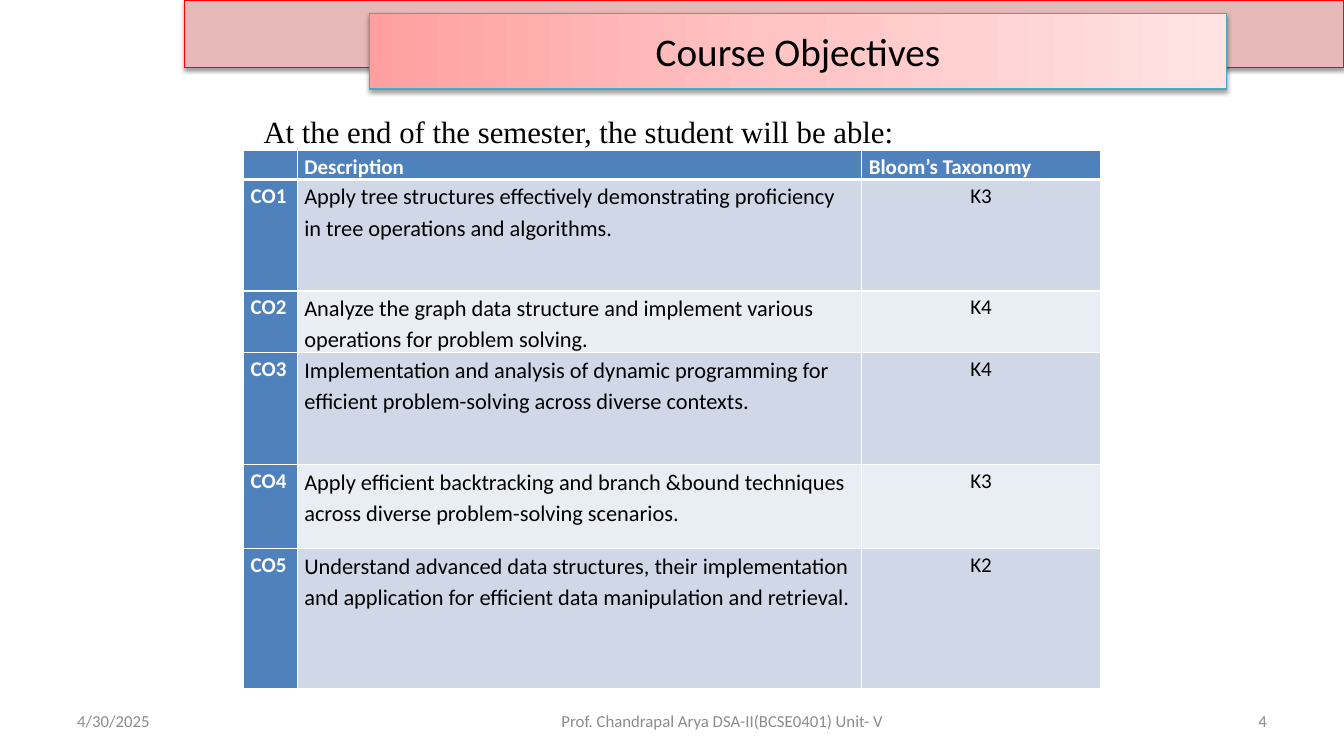
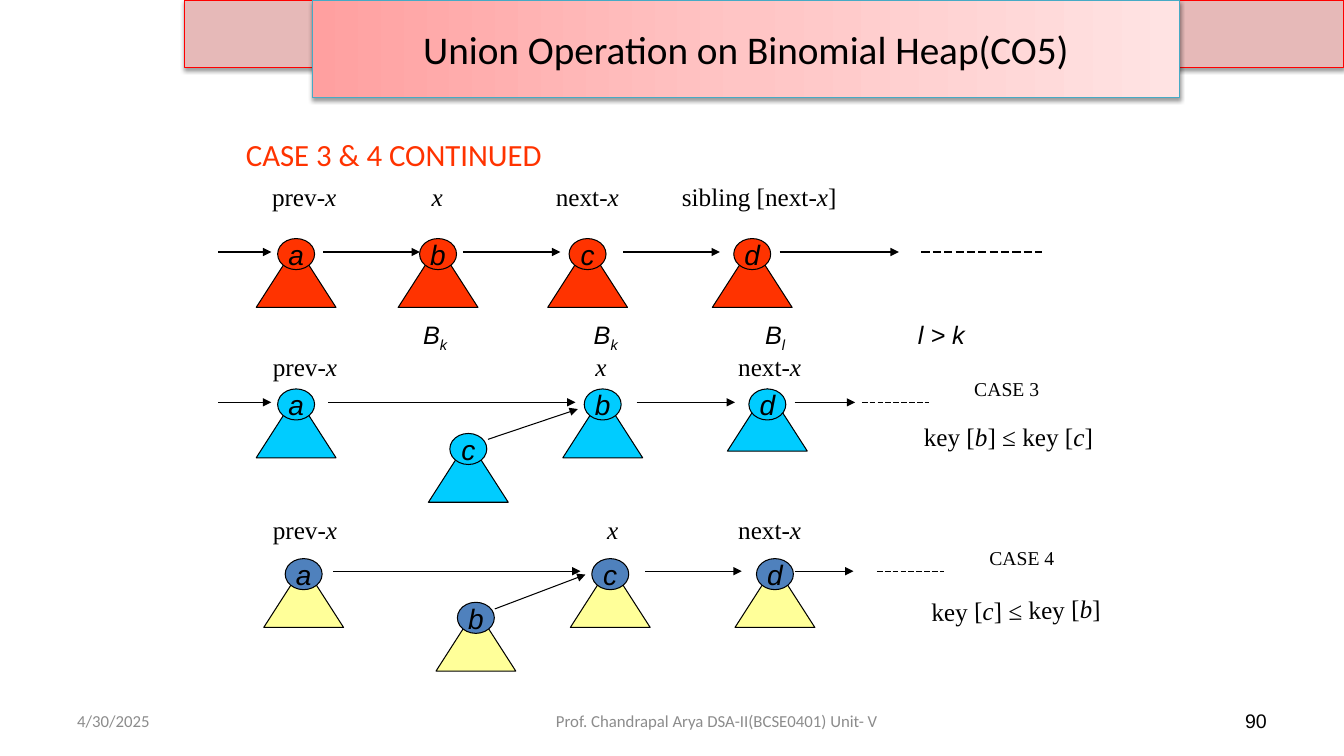
import copy
import dataclasses

import lxml.etree
import pptx
import pptx.dml.color
import pptx.enum.dml
import pptx.enum.shapes
import pptx.enum.text
import pptx.oxml.ns
import pptx.util


@dataclasses.dataclass(frozen=True)
class Theme:
    sans: str = "Calibri"
    serif: str = "Times New Roman"
    node_font: str = "Arial"
    title_size: int = 28
    lead_size: int = 22
    node_size: int = 20
    label_size: int = 18
    cell_size: int = 16
    head_size: int = 15
    case_size: int = 14
    footer_size: int = 12
    black: str = "000000"
    white: str = "FFFFFF"
    grey: str = "8C8C8C"
    band: str = "E6B9B8"
    band_edge: str = "FF0000"
    title_edge: str = "46AAC5"
    title_stops: tuple = ("FFA0A0", "FFC5C5", "FFE3E3")
    blue: str = "4F81BD"
    odd_row: str = "D0D8E8"
    even_row: str = "E9EDF4"
    red: str = "FF3300"
    cyan: str = "00CCFF"
    yellow: str = "FFFF99"


theme = Theme()
qn = pptx.oxml.ns.qn
rgb = pptx.dml.color.RGBColor.from_string
Preset = pptx.enum.shapes.MSO_SHAPE
Align = pptx.enum.text.PP_ALIGN
MIDDLE = pptx.enum.text.MSO_ANCHOR.MIDDLE

# The slide is a grid of 160 columns by 90 rows of square cells
deck = pptx.Presentation()
deck.slide_width, deck.slide_height = pptx.util.Inches(13.333), pptx.util.Inches(7.5)
CELL = deck.slide_height / 90


def place(slide, preset, area, fill=None, edge=None):
    """Add a text box (no preset) or an outlined shape; area is in grid cells."""
    area = [round(value * CELL) for value in area]
    if preset is None:
        box = slide.shapes.add_textbox(*area)
        box.text_frame.word_wrap = True
        return box
    shape = slide.shapes.add_shape(preset, *area)
    shape.shadow.inherit = False
    if fill:
        shape.fill.solid()
        shape.fill.fore_color.rgb = rgb(fill)
    shape.line.color.rgb = rgb(edge)
    shape.line.width = pptx.util.Pt(0.75)
    return shape


def write(frame, runs, font, size, color=theme.black, align=Align.LEFT,
          bold=False, spacing=None, tabs=()):
    """Fill the first paragraph with (text, style) runs: i italic, s subscript."""
    paragraph = frame.paragraphs[0]
    paragraph.alignment = align
    if spacing:
        paragraph.line_spacing = spacing
    if tabs:
        stops = lxml.etree.SubElement(paragraph._p.get_or_add_pPr(), qn("a:tabLst"))
        for column in tabs:
            lxml.etree.SubElement(stops, qn("a:tab"), pos=str(round(column * CELL)), algn="l")
    for text, style in runs:
        run = paragraph.add_run()
        run.text = text
        run.font.name = font
        run.font.size = pptx.util.Pt(size)
        run.font.color.rgb = rgb(color)
        run.font.bold = bold
        run.font.italic = "i" in style
        if "s" in style:
            run.font._element.set("baseline", "-25000")


# Shared frame: band, title box and footers
FOOTER_TOP, FOOTER_HEIGHT = 83.4, 4.8
headings = [
    ("Course Objectives", (44, 1.6, 102, 9), (53, 66),
     ("4", theme.sans, theme.footer_size, theme.grey)),
    ("Union Operation on Binomial Heap(CO5)", (37.2, 0, 103.2, 11.6), (61, 48.7),
     ("90", theme.node_font, theme.case_size, theme.black)),
]
for title, title_area, (credit_left, credit_width), page in headings:
    slide = deck.slides.add_slide(deck.slide_layouts[6])
    band = place(slide, Preset.RECTANGLE, (22, 0, 138, 8), theme.band, theme.band_edge)
    banner = place(slide, Preset.RECTANGLE, title_area, None, theme.title_edge)

    banner.fill.gradient()
    banner.fill.gradient_angle = 0
    stop_list = banner._element.spPr.find(qn("a:gradFill")).find(qn("a:gsLst"))
    stop_list.insert(1, copy.deepcopy(stop_list[0]))
    for order, (stop, color) in enumerate(zip(banner.fill.gradient_stops, theme.title_stops)):
        stop.color.rgb = rgb(color)
        stop.position = order / 2
    banner.text_frame.word_wrap = True
    banner.text_frame.vertical_anchor = MIDDLE
    write(banner.text_frame, [(title, "")], theme.sans, theme.title_size, align=Align.CENTER)

    for raised in (band, banner):
        effects = raised._element.spPr.find(qn("a:effectLst"))
        shade = lxml.etree.SubElement(effects, qn("a:outerShdw"), blurRad="40000",
                                      dist="20000", dir="5400000", rotWithShape="0")
        ink = lxml.etree.SubElement(shade, qn("a:srgbClr"), val=theme.black)
        lxml.etree.SubElement(ink, qn("a:alpha"), val="38000")

    small = (theme.sans, theme.footer_size, theme.grey)
    for left, width, align, (text, *look) in [
        (8, 37.3, Align.LEFT, ("4/30/2025", *small)),
        (credit_left, credit_width, Align.CENTER,
         ("Prof. Chandrapal Arya DSA-II(BCSE0401) Unit- V", *small)),
        (114.7, 37.3, Align.RIGHT, page),
    ]:
        footer = place(slide, None, (left, FOOTER_TOP, width, FOOTER_HEIGHT))
        footer.text_frame.vertical_anchor = MIDDLE
        write(footer.text_frame, [(text, "")], *look, align=align)

objectives_slide, union_slide = deck.slides

# Course objectives: lead sentence and table
lead = place(objectives_slide, None, (30.2, 12.2, 102, 6))
write(lead.text_frame, [("At the end of the semester, the student will be able:", "")],
      theme.serif, theme.lead_size, spacing=1.15)

outcomes = [
    ("", "Description", "Bloom’s Taxonomy"),
    ("CO1", "Apply tree structures effectively demonstrating proficiency in tree "
            "operations and algorithms.", "K3"),
    ("CO2", "Analyze the graph data structure and implement various operations for "
            "problem solving.", "K4"),
    ("CO3", "Implementation and analysis of dynamic programming for efficient "
            "problem-solving across diverse contexts.", "K4"),
    ("CO4", "Apply efficient backtracking and branch &bound techniques across diverse "
            "problem-solving scenarios.", "K3"),
    ("CO5", "Understand advanced data structures, their implementation and application "
            "for efficient data manipulation and retrieval.", "K2"),
]
column_widths = (6.4, 67.2, 28.4)
row_heights = (3.4, 13.3, 6.6, 13.3, 10, 16.7)
table_area = (29, 17.9, sum(column_widths), sum(row_heights))
objectives = objectives_slide.shapes.add_table(
    len(outcomes), len(column_widths), *[round(value * CELL) for value in table_area]).table
for column, width in zip(objectives.columns, column_widths):
    column.width = round(width * CELL)
for row, height in zip(objectives.rows, row_heights):
    row.height = round(height * CELL)

for r, outcome in enumerate(outcomes):
    for c, text in enumerate(outcome):
        cell = objectives.cell(r, c)
        cell.margin_left = cell.margin_right = pptx.util.Inches(0.07)
        cell.margin_top = cell.margin_bottom = 0
        heading = r == 0 or c == 0
        cell.fill.solid()
        cell.fill.fore_color.rgb = rgb(
            theme.blue if heading else theme.odd_row if r % 2 else theme.even_row)
        if text:
            write(cell.text_frame, [(text, "")], theme.sans,
                  theme.cell_size if c == 1 and r else theme.head_size,
                  theme.white if heading else theme.black,
                  Align.CENTER if c == 2 and r else Align.LEFT, heading, 1.15)
        else:
            lxml.etree.SubElement(cell.text_frame.paragraphs[0]._p, qn("a:endParaRPr"),
                                  sz=str(theme.head_size * 100))
        # White rules, heavier below the header
        for order, side in enumerate(("L", "R", "T", "B")):
            heavy = (r, side) in ((0, "B"), (1, "T"))
            rule = lxml.etree.Element(qn("a:ln" + side),
                                      w=str(pptx.util.Pt(3 if heavy else 1)))
            paint = lxml.etree.SubElement(rule, qn("a:solidFill"))
            lxml.etree.SubElement(paint, qn("a:srgbClr"), val=theme.white)
            cell._tc.get_or_add_tcPr().insert(order, rule)

# Union operation: subtitle
subtitle = place(union_slide, None, (28.1, 15.6, 54, 7))
write(subtitle.text_frame, [("CASE 3 & 4 CONTINUED", "")],
      theme.sans, theme.lead_size, theme.red)

# Root lists: root and tree colours, level of the arrows, their spans, the branch arrow,
# the dashed rest with its width, and trees as (key, left, root top, tree top)
root_lists = [
    (theme.red, theme.red, 30,
     [(26, 32.3), (38.5, 50), (55.1, 66.7), (74.2, 85.7), (92.8, 107)], None,
     (109.7, 124, 0.75),
     [("a", 30.5, 28.4, 29.2), ("b", 47.4, 28.4, 29.2),
      ("c", 65.2, 28.4, 29.2), ("d", 84.8, 28.4, 29.2)]),
    (theme.cyan, theme.cyan, 47.9,
     [(26, 32.3), (39.1, 68.5), (75.8, 87.5), (94.6, 101.8)], (58.1, 52.3, 68.8, 48.7),
     (102.6, 110.6, 0.5),
     [("a", 30.5, 46.3, 47.1), ("c", 51, 51.6, 52.4),
      ("b", 67, 46.3, 47.1), ("d", 86.6, 46.3, 46.3)]),
    (theme.blue, theme.yellow, 68,
     [(39.7, 69.1), (76.8, 88.3), (94.6, 101.6)], (58.9, 72.5, 69.7, 68.4),
     (104.4, 112.4, 0.5),
     [("a", 31.4, 66.5, 67.3), ("b", 51.9, 71.7, 72.5),
      ("c", 67.9, 66.5, 67.3), ("d", 87.5, 66.5, 67.3)]),
]
TREE_WIDTH, TREE_HEIGHT, ROOT_WIDTH, ROOT_HEIGHT = 9.5, 7.4, 4.4, 3.7
for root_color, tree_color, level, spans, branch, (rest, rest_end, rest_width), trees in root_lists:
    links = [((start, level, end, level), 0.75, False) for start, end in spans]
    links.append(((rest, level, rest_end, level), rest_width, True))
    if branch:
        links.append((branch, 0.75, False))
    for ends, width, dashed in links:
        link = union_slide.shapes.add_connector(
            pptx.enum.shapes.MSO_CONNECTOR.STRAIGHT, *[round(value * CELL) for value in ends])
        link.line.color.rgb = rgb(theme.black)
        link.line.width = pptx.util.Pt(width)
        if dashed:
            link.line.dash_style = pptx.enum.dml.MSO_LINE.LONG_DASH
        else:
            lxml.etree.SubElement(link.line._get_or_add_ln(), qn("a:tailEnd"), type="triangle")
        lxml.etree.SubElement(link._element.spPr, qn("a:effectLst"))

    for key, left, root_top, tree_top in trees:
        place(union_slide, Preset.ISOSCELES_TRIANGLE,
              (left, tree_top, TREE_WIDTH, TREE_HEIGHT), tree_color, theme.black)
        root = place(union_slide, Preset.OVAL,
                     (left + (TREE_WIDTH - ROOT_WIDTH) / 2, root_top, ROOT_WIDTH, ROOT_HEIGHT),
                     root_color, theme.black)
        root.text_frame.word_wrap = False
        root.text_frame.vertical_anchor = MIDDLE
        write(root.text_frame, [(key, "i")], theme.node_font, theme.node_size,
              align=Align.CENTER)

# Pointer names, tree orders and case conditions: area, tab columns, tilt, look, runs
pointer = (theme.serif, theme.label_size)
order_look = (theme.node_font, theme.label_size)
case_look = (theme.serif, theme.case_size)
pointer_runs = [("prev", ""), ("-x\tx\t", "i"), ("next", ""), ("-x", "i")]
captions = [
    ((31.2, 21, 83.2, 4.8), (19, 33.8, 48.8), 0, pointer,
     pointer_runs + [("\tsibling [next", ""), ("-x", "i"), ("]", "")]),
    ((31.3, 41.2, 73.1, 4.8), (38.4, 55.4), 0, pointer, pointer_runs),
    ((31.3, 60.6, 73.1, 4.8), (39.8, 55.4), 0, pointer, pointer_runs),
    ((49.2, 37.4, 71, 4.8), (20.3, 40.7, 58.9), 0, order_look,
     [("B", "i"), ("k", "is"), ("\tB", "i"), ("k", "is"),
      ("\tB", "i"), ("l", "is"), ("\tl > k", "i")]),
    ((114.8, 44.3, 14.5, 4), (), 0, case_look, [("CASE 3", "")]),
    ((116.6, 64.4, 14.5, 4), (), 0, case_look, [("CASE 4", "")]),
    ((108.8, 49.6, 27.1, 4.8), (), 0, pointer,
     [("key [", ""), ("b", "i"), ("] ≤ key [", ""), ("c", "i"), ("]", "")]),
    ((109.7, 70.2, 25.3, 4.8), (), 358.9, pointer,
     [("key [", ""), ("c", "i"), ("] ≤ key [", ""), ("b", "i"), ("]", "")]),
]
for area, tabs, tilt, look, runs in captions:
    caption = place(union_slide, None, area)
    caption.rotation = tilt
    write(caption.text_frame, runs, *look, tabs=tabs)

deck.save("out.pptx")
